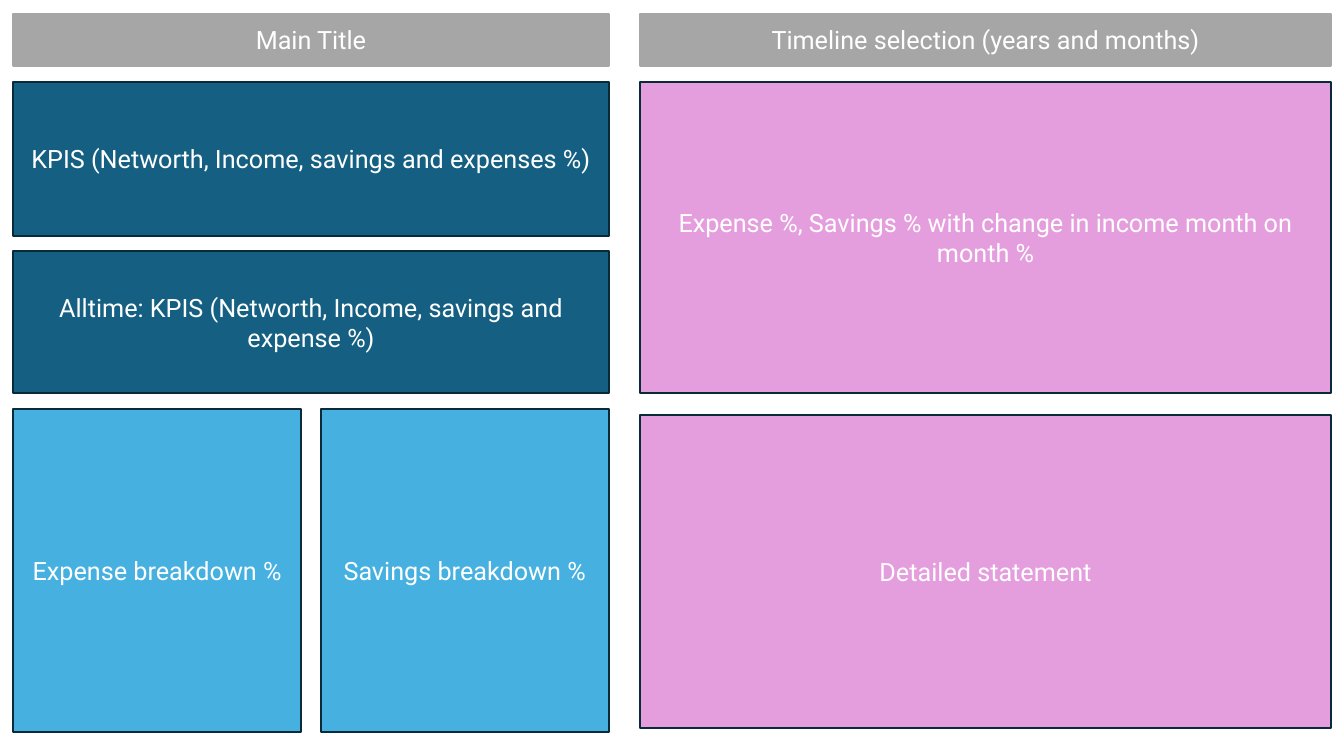
from pptx import Presentation
from pptx import util as u
from pptx.dml.color import RGBColor
from pptx.enum import shapes, text

COLORS = {
    "header": "A6A6A6",
    "kpi": "156082",
    "breakdown": "46B1E1",
    "detail": "E59EDD",
    "border": "092A39",
    "text": "FFFFFF",
}

# Grid tracks as (start, size) in inches
COLUMNS = [(0.13, 2.86), (3.18, 2.86), (6.35, 6.85)]
ROWS = {
    "header": (0.14, 0.51),
    "kpi": (0.81, 1.53),
    "alltime": (2.49, 1.41),
    "breakdown": (4.06, 3.2),
    "statement": (4.12, 3.1),
}
LEFT, RIGHT = (0, 1), (2, 2)


def span(first, last):
    """Return the start and length that cover two tracks and all between."""
    start = first[0]
    return u.Inches(start), u.Inches(last[0] + last[1] - start)


class Wireframe:
    font_name = "Roboto"
    font_size = u.Pt(18)
    line_width = u.Pt(1.5)

    def __init__(self, presentation):
        self.slide = presentation.slides.add_slide(presentation.slide_layouts[5])

    def title(self, label, columns, rows):
        self.style(self.slide.shapes.title, label, columns, rows, "header", "header")

    def block(self, label, columns, rows, fill, line="border"):
        shape = self.slide.shapes.add_shape(shapes.MSO_SHAPE.RECTANGLE, 0, 0, 0, 0)
        shape.shadow.inherit = False
        self.style(shape, label, columns, rows, fill, line)

    def style(self, shape, label, columns, rows, fill, line):
        shape.left, shape.width = span(*(COLUMNS[column] for column in columns))
        shape.top, shape.height = span(*(ROWS[row] for row in rows))
        shape.fill.solid()
        shape.fill.fore_color.rgb = RGBColor.from_string(COLORS[fill])
        shape.line.color.rgb = RGBColor.from_string(COLORS[line])
        shape.line.width = self.line_width

        frame = shape.text_frame
        frame.text = label
        frame.word_wrap = True
        frame.auto_size = text.MSO_AUTO_SIZE.NONE
        frame.vertical_anchor = text.MSO_ANCHOR.MIDDLE
        paragraph = frame.paragraphs[0]
        paragraph.alignment = text.PP_ALIGN.CENTER
        font = paragraph.runs[0].font
        font.name = self.font_name
        font.size = self.font_size
        font.color.rgb = RGBColor.from_string(COLORS["text"])


def main():
    presentation = Presentation()
    presentation.slide_width = u.Inches(13.33)
    presentation.slide_height = u.Inches(7.5)

    page = Wireframe(presentation)
    header, breakdown = ("header", "header"), ("breakdown", "breakdown")
    page.title("Main Title", LEFT, header)
    page.block("KPIS (Networth, Income, savings and expenses %)",
               LEFT, ("kpi", "kpi"), "kpi")
    page.block("Alltime: KPIS (Networth, Income, savings and expense %)",
               LEFT, ("alltime", "alltime"), "kpi")
    for column, subject in enumerate(("Expense", "Savings")):
        page.block(f"{subject} breakdown %", (column, column), breakdown, "breakdown")
    page.block("Timeline selection (years and months)", RIGHT, header, "header", "header")
    page.block("Expense %, Savings % with change in income month on month %",
               RIGHT, ("kpi", "alltime"), "detail")
    page.block("Detailed statement", RIGHT, ("statement", "statement"), "detail")

    presentation.save("out.pptx")


if __name__ == "__main__":
    main()
